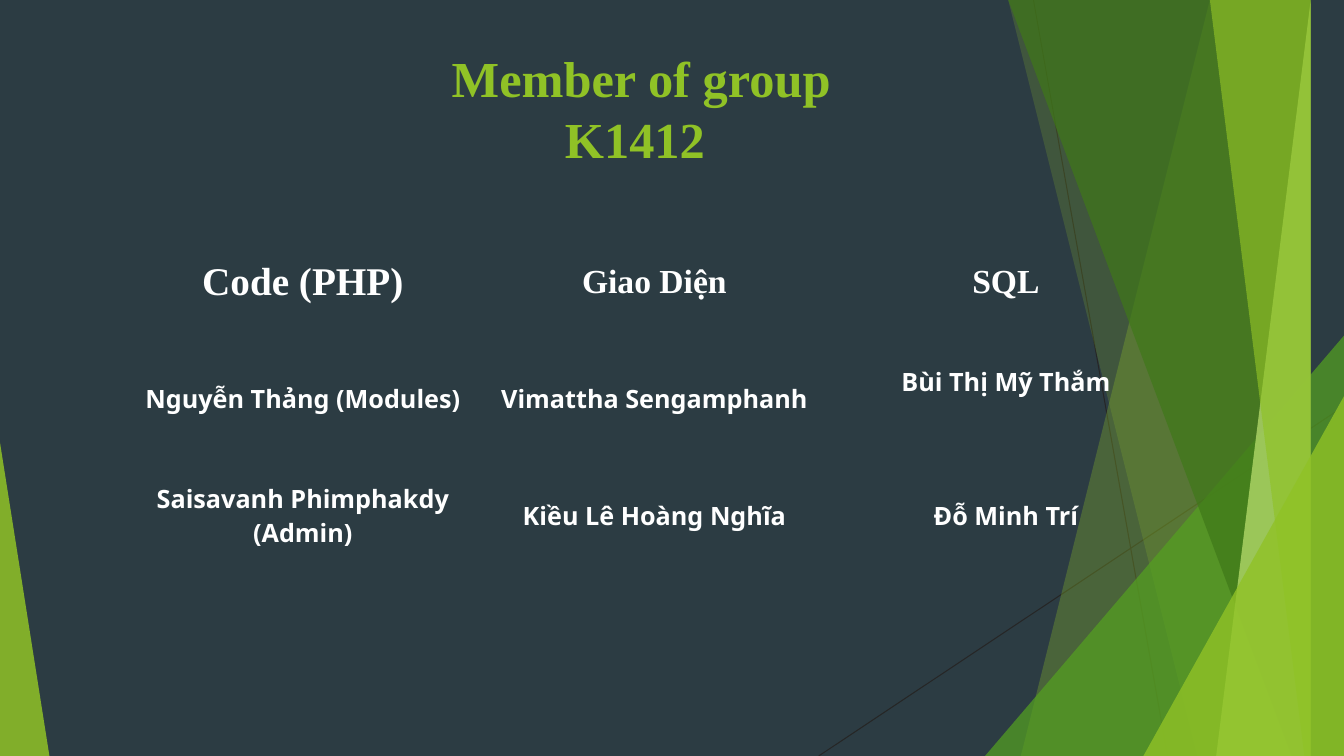
"""Build the slide that lists the members of group K1412 by task."""
from lxml import etree
from pptx import Presentation, util as u
from pptx.dml import color
from pptx.enum import shapes, text
from pptx.oxml import ns

COLORS = {"night": "2C3C43", "line": "262626", "lime": "90C226", "leaf": "54A021",
          "forest": "3F7819", "pale": "C0E474", "white": "FFFFFF"}
WIDTH, HEIGHT = 13.33, 7.5
SERIF, SANS = "Times New Roman", "Noto Sans"


def paint(shape, name, opacity):
    shape.shadow.inherit = False
    shape.line.fill.background()
    shape.fill.solid()
    shape.fill.fore_color.rgb = color.RGBColor.from_string(COLORS[name])
    tone = shape.fill._xPr.find(".//" + ns.qn("a:srgbClr"))
    etree.SubElement(tone, ns.qn("a:alpha"), val=str(opacity * 1000))


def write(para, words, size, font, name):
    para.alignment = text.PP_ALIGN.CENTER
    for number, line in enumerate(words.split("\n")):
        if number:
            para.add_line_break()
        span = para.add_run()
        span.text = line
        span.font.size = u.Pt(size)
        span.font.name = font
        span.font.bold = True
        span.font.color.rgb = color.RGBColor.from_string(COLORS[name])


deck = Presentation()
deck.slide_width, deck.slide_height = u.Inches(WIDTH), u.Inches(HEIGHT)
page = deck.slides.add_slide(deck.slide_layouts[6])
page.background.fill.solid()
page.background.fill.fore_color.rgb = color.RGBColor.from_string(COLORS["night"])

for ends in [(10.25, 0, 11.58, HEIGHT), (WIDTH, 4.03, 8.12, HEIGHT)]:
    ray = page.shapes.add_connector(shapes.MSO_CONNECTOR.STRAIGHT, *map(u.Inches, ends))
    ray.line.width = u.Pt(0.75)
    ray.line.color.rgb = color.RGBColor.from_string(COLORS["line"])
    etree.SubElement(ray._element.spPr, ns.qn("a:effectLst"))

# Each facet: kind, then (top x, bottom x) for a band or (left, top, width, apex) for a triangle
facets = [
    ("band", (12.28, 10.04), "lime", 30),
    ("band", (10.5, 11.83), "lime", 20),
    ("triangle", (9.77, 3.33, 3.56, 1), "leaf", 72),
    ("band", (10.21, 12.91), "forest", 70),
    ("band", (13.03, 11.92), "pale", 70),
    ("band", (11.96, 13.18), "lime", 65),
    ("triangle", (11.34, 3.93, 1.99, 1), "lime", 80),
    ("triangle", (0, 4.39, 0.49, 0), "lime", 85),
]
for kind, place, name, opacity in facets:
    if kind == "band":
        top, bottom = place
        outline = page.shapes.build_freeform(top, -0.01, scale=u.Inches(1))
        outline.add_line_segments([(WIDTH, -0.01), (WIDTH, HEIGHT), (bottom, HEIGHT)], close=True)
        facet = outline.convert_to_shape()
    else:
        left, top, width, apex = place
        facet = page.shapes.add_shape(shapes.MSO_SHAPE.ISOSCELES_TRIANGLE,
                                      *map(u.Inches, (left, top, width, HEIGHT - top)))
        facet.adjustments[0] = apex
    paint(facet, name, opacity)

title = page.shapes.add_textbox(*map(u.Inches, (1.66, 0.35, 9.4, 1.44))).text_frame
title.word_wrap = True
title.vertical_anchor = text.MSO_ANCHOR.MIDDLE
write(title.paragraphs[0], "Member of group\nK1412 ", 36, SERIF, "lime")

members = [
    ["Code (PHP)", "Giao Diện", "SQL"],
    ["Nguyễn Thảng (Modules)", "Vimattha Sengamphanh", "Bùi Thị Mỹ Thắm"],
    ["Saisavanh Phimphakdy\n(Admin)", "Kiều Lê Hoàng Nghĩa", "Đỗ Minh Trí"],
]
table = page.shapes.add_table(3, 3, *map(u.Inches, (1.26, 2.22, 10.46, 3.48))).table
table.first_row = table.horz_banding = False
style = table._tbl.tblPr.find(ns.qn("a:tableStyleId"))
style.text = "{2D5ABB26-0587-4C30-8999-92F81FD0307C}"
for row, names in enumerate(members):
    for column, words in enumerate(names):
        cell = table.cell(row, column)
        cell.fill.background()
        cell.vertical_anchor = text.MSO_ANCHOR.MIDDLE
        size = 18 if row else (28, 24, 24)[column]
        for number, line in enumerate(words.split("\n")):
            frame = cell.text_frame
            para = frame.add_paragraph() if number else frame.paragraphs[0]
            write(para, line, size, SANS if row else SERIF, "white")
table.cell(1, 2).margin_bottom = u.Inches(0.39)

deck.save("out.pptx")
